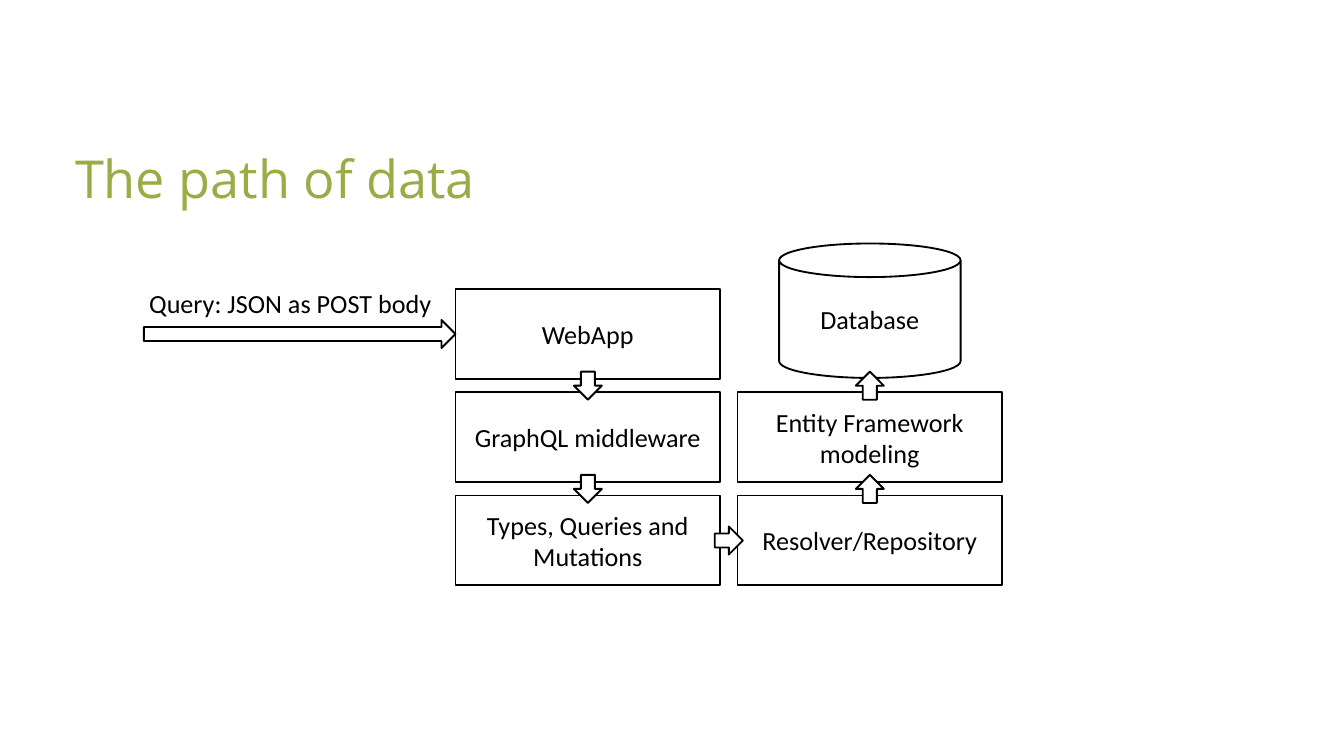
from pptx import Presentation
from pptx.dml.color import RGBColor
from pptx.enum.shapes import MSO_SHAPE
from pptx.enum.text import MSO_ANCHOR, MSO_AUTO_SIZE, PP_ALIGN
from pptx.util import Cm, Pt

BLACK = RGBColor(0x00, 0x00, 0x00)
WHITE = RGBColor(0xFF, 0xFF, 0xFF)
GREEN = RGBColor(0x9A, 0xAC, 0x46)
RECT, CAN, ARROW = MSO_SHAPE.RECTANGLE, MSO_SHAPE.CAN, MSO_SHAPE.RIGHT_ARROW
MIDDLE, CENTER, LEFT = MSO_ANCHOR.MIDDLE, PP_ALIGN.CENTER, PP_ALIGN.LEFT
GROW = MSO_AUTO_SIZE.SHAPE_TO_FIT_TEXT

BOX_W, BOX_H = 5.0, 1.7
COLS = (8.61, 13.94)
TOP, STEP = 5.46, 1.95
TIP = 0.53


class Sketch:
    """Holds the style and the current slide."""

    def __init__(self, slide):
        """Start drawing on a slide."""
        self.slide = slide
        self.font = "Calibri"
        self.size = 14

    def style(self, shape, text, align, font=None, size=None, color=BLACK):
        """Put styled text into a shape."""
        frame = shape.text_frame
        frame.text = text
        para = frame.paragraphs[0]
        para.alignment = align
        face = para.runs[0].font
        face.name = font or self.font
        face.size = Pt(size or self.size)
        face.color.rgb = color
        return frame

    def title(self, text, x, y, w, h):
        """Add the slide heading."""
        box = self.slide.shapes.add_textbox(Cm(x), Cm(y), Cm(w), Cm(h))
        frame = self.style(box, text, LEFT, "Open Sans", 28, GREEN)
        frame.word_wrap = True
        frame.vertical_anchor = MIDDLE
        frame.paragraphs[0].line_spacing = 0.9

    def label(self, text, x, y, w, h):
        """Add a one-line caption."""
        box = self.slide.shapes.add_textbox(Cm(x), Cm(y), Cm(w), Cm(h))
        frame = self.style(box, text, LEFT)
        frame.word_wrap = False
        frame.auto_size = GROW

    def block(self, kind, x, y, w, h, text=None):
        """Add an outlined shape, with centred text if given."""
        shape = self.slide.shapes.add_shape(kind, Cm(x), Cm(y), Cm(w), Cm(h))
        shape.shadow.inherit = False
        shape.fill.solid()
        shape.fill.fore_color.rgb = WHITE
        shape.line.color.rgb = BLACK
        shape.line.width = Pt(1)
        if text:
            frame = self.style(shape, text, CENTER)
            frame.word_wrap = True
            frame.vertical_anchor = MIDDLE
        return shape

    def arrow(self, x, y, turn=0, length=TIP):
        """Add a block arrow around a centre point."""
        shape = self.block(ARROW, x - length / 2, y - TIP / 2, length, TIP)
        shape.rotation = turn


def main():
    """Build and save the slide."""
    deck = Presentation()
    deck.slide_width, deck.slide_height = Cm(25.4), Cm(14.28)
    sketch = Sketch(deck.slides.add_slide(deck.slide_layouts[6]))
    sketch.title("The path of data", 1.17, 2.77, 22.28, 1.3)

    steps = (
        (0, 0, "WebApp"),
        (0, 1, "GraphQL middleware"),
        (0, 2, "Types, Queries and Mutations"),
        (1, 2, "Resolver/Repository"),
        (1, 1, "Entity Framework modeling"),
    )
    for col, row, text in steps:
        sketch.block(RECT, COLS[col], TOP + row * STEP, BOX_W, BOX_H, text)

    mids = [left + BOX_W / 2 for left in COLS]
    can_w = 3.43
    sketch.block(CAN, mids[1] - can_w / 2, 4.6, can_w, 2.54, "Database")

    reach = 5.89
    sketch.arrow(COLS[0] - reach / 2, TOP + BOX_H / 2, length=reach)
    sketch.label("Query: JSON as POST body", 2.57, 5.31, reach, 0.86)

    gap = STEP - BOX_H
    for row in (1, 2):
        seam = TOP + row * STEP - gap / 2
        for mid, turn in zip(mids, (90, 270)):
            sketch.arrow(mid, seam, turn)
    sketch.arrow(sum(mids) / 2, TOP + 2 * STEP + BOX_H / 2)

    deck.save("out.pptx")


main()
